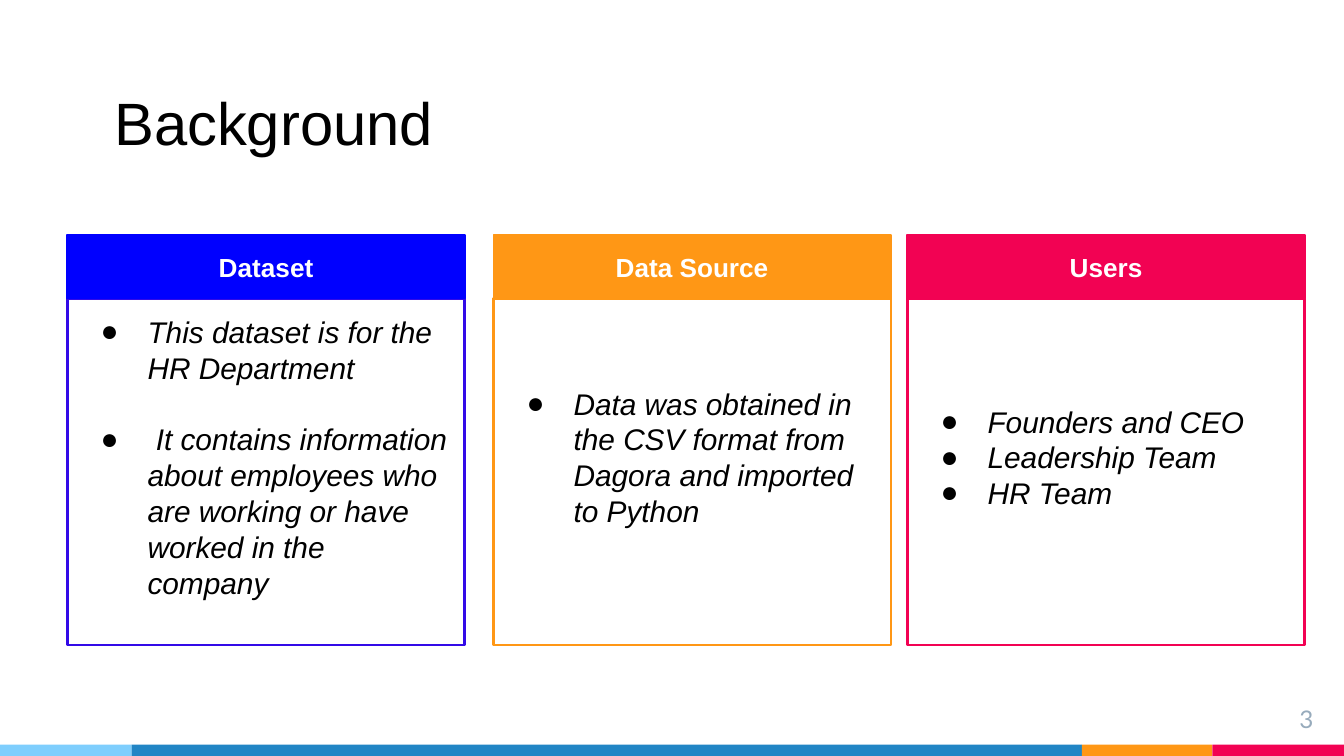
"""Build the Background slide with three headed cards."""
from dataclasses import dataclass

from lxml import etree
from pptx import Presentation
from pptx import util as u
from pptx.dml.color import RGBColor
from pptx.enum import shapes, text
from pptx.oxml import ns

BLACK = RGBColor(0x00, 0x00, 0x00)
WHITE = RGBColor(0xFF, 0xFF, 0xFF)
BLUE = RGBColor(0x00, 0x00, 0xFF)
INDIGO = RGBColor(0x33, 0x0A, 0xE7)
ORANGE = RGBColor(0xFF, 0x97, 0x15)
CRIMSON = RGBColor(0xF2, 0x02, 0x53)
SKY = RGBColor(0x7E, 0xCE, 0xFD)
OCEAN = RGBColor(0x21, 0x85, 0xC5)
GREY = RGBColor(0x97, 0xAB, 0xBC)

SLIDE_WIDTH = 10
SLIDE_HEIGHT = SLIDE_WIDTH * 9 / 16
CARD_WIDTH = 2.96
HEADER_TOP, HEADER_HEIGHT = 1.75, 0.47
BODY_HEIGHT = 2.58
STRIP_TOP = 5.54


@dataclass(frozen=True)
class Card:
    left: float
    heading: str
    points: tuple[str, ...]
    color: RGBColor
    border: RGBColor
    gap: float = 0


@dataclass(frozen=True)
class Band:
    width: float
    color: RGBColor


CARDS = (
    Card(0.5, "Dataset",
         ("This dataset is for the HR Department",
          " It contains information about employees who are working or have worked in the company"),
         BLUE, INDIGO, gap=19.2),
    Card(3.67, "Data Source",
         ("Data was obtained in the CSV format from Dagora and imported to Python",),
         ORANGE, ORANGE),
    Card(6.75, "Users", ("Founders and CEO", "Leadership Team", "HR Team"), CRIMSON, CRIMSON),
)
BANDS = (Band(0.98, SKY), Band(7.07, OCEAN), Band(0.97, ORANGE), Band(0.98, CRIMSON))


def add_bullet(paragraph) -> None:
    properties = paragraph._p.get_or_add_pPr()
    properties.set("marL", str(u.Inches(0.5)))
    properties.set("indent", str(u.Inches(-0.35)))
    color = etree.SubElement(properties, ns.qn("a:buClr"))
    etree.SubElement(color, ns.qn("a:srgbClr"), val=str(BLACK))
    etree.SubElement(properties, ns.qn("a:buFont"), typeface="Arial")
    etree.SubElement(properties, ns.qn("a:buChar"), char="●")


def write(shape, *lines: str, size: float, color: RGBColor, font: str = "Arial",
          bold: bool = False, italic: bool = False, bullets: bool = False,
          align=text.PP_ALIGN.LEFT, anchor=text.MSO_ANCHOR.MIDDLE,
          left_inset: float = 0.1, bottom_inset: float = 0.1,
          gap: float = 0, leading: float | None = None) -> None:
    frame = shape.text_frame
    frame.word_wrap = True
    frame.vertical_anchor = anchor
    frame.margin_left, frame.margin_bottom = u.Inches(left_inset), u.Inches(bottom_inset)
    frame.margin_top = frame.margin_right = u.Inches(0.1)
    for index, line in enumerate(lines):
        paragraph = frame.add_paragraph() if index else frame.paragraphs[0]
        if bullets:
            add_bullet(paragraph)
        paragraph.alignment = align
        if leading:
            paragraph.line_spacing = u.Pt(leading)
        if index and gap:
            paragraph.space_before = u.Pt(gap)
        run = paragraph.add_run()
        run.text = line
        run.font.name, run.font.size = font, u.Pt(size)
        run.font.bold, run.font.italic = bold, italic
        run.font.color.rgb = color


def add_box(slide, left: float, top: float, width: float, height: float,
            fill: RGBColor, border: RGBColor | None = None, weight: float = 0.75):
    box = slide.shapes.add_shape(shapes.MSO_SHAPE.RECTANGLE, u.Inches(left), u.Inches(top),
                                 u.Inches(width), u.Inches(height))
    box.shadow.inherit = False
    box.fill.solid()
    box.fill.fore_color.rgb = fill
    if border is None:
        box.line.fill.background()
    else:
        box.line.color.rgb = border
        box.line.width = u.Pt(weight)
    return box


def add_label(slide, left: float, top: float, width: float, height: float):
    return slide.shapes.add_textbox(u.Inches(left), u.Inches(top),
                                    u.Inches(width), u.Inches(height))


def draw_strip(slide, bands: tuple[Band, ...]) -> None:
    left = 0.0
    for band in bands:
        add_box(slide, left, STRIP_TOP, band.width, SLIDE_HEIGHT - STRIP_TOP, band.color)
        left += band.width


def draw_card(slide, card: Card) -> None:
    body = add_box(slide, card.left, HEADER_TOP + HEADER_HEIGHT, CARD_WIDTH, BODY_HEIGHT,
                   WHITE, card.border, 1.5)
    write(body, *card.points, size=16, color=BLACK, italic=True, bullets=True,
          bottom_inset=0.32, gap=card.gap, leading=19.2)
    header = add_box(slide, card.left, HEADER_TOP, CARD_WIDTH, HEADER_HEIGHT,
                     card.color, card.color)
    write(header, card.heading, size=14, color=WHITE, bold=True, align=text.PP_ALIGN.CENTER)


def main() -> None:
    deck = Presentation()
    deck.slide_width, deck.slide_height = u.Inches(SLIDE_WIDTH), u.Inches(SLIDE_HEIGHT)
    slide = deck.slides.add_slide(deck.slide_layouts[6])
    draw_strip(slide, BANDS)
    page_number = add_label(slide, 9.27, 5.14, 0.6, 0.34)
    write(page_number, "3", size=13, color=GREY, font="Lato",
          align=text.PP_ALIGN.RIGHT, anchor=text.MSO_ANCHOR.TOP)
    for card in CARDS:
        draw_card(slide, card)
    title = add_label(slide, 0.5, 0.33, 8.18, 0.94)
    write(title, "Background", size=32, color=BLACK, anchor=text.MSO_ANCHOR.BOTTOM,
          left_inset=0.35)
    deck.save("out.pptx")


if __name__ == "__main__":
    main()
